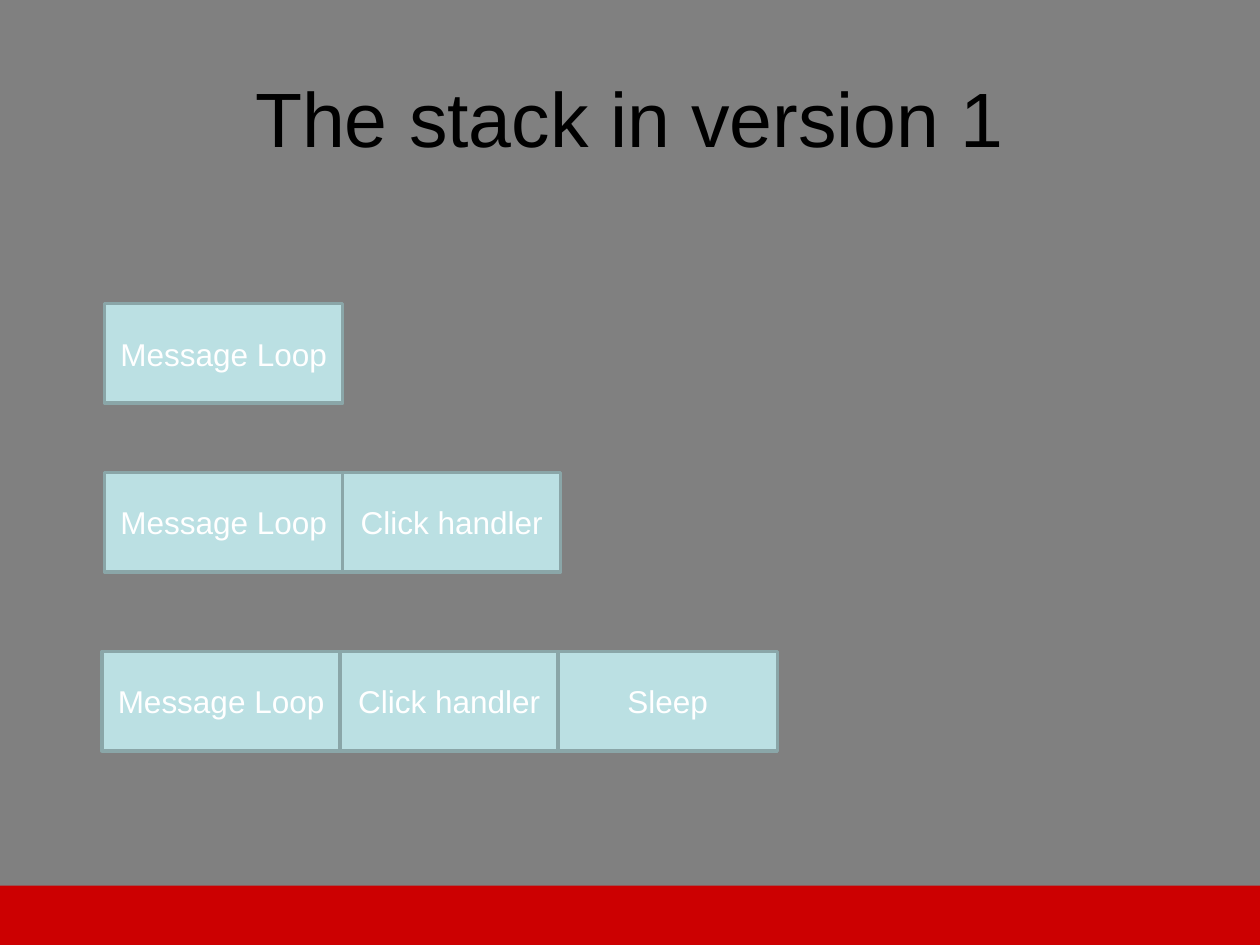
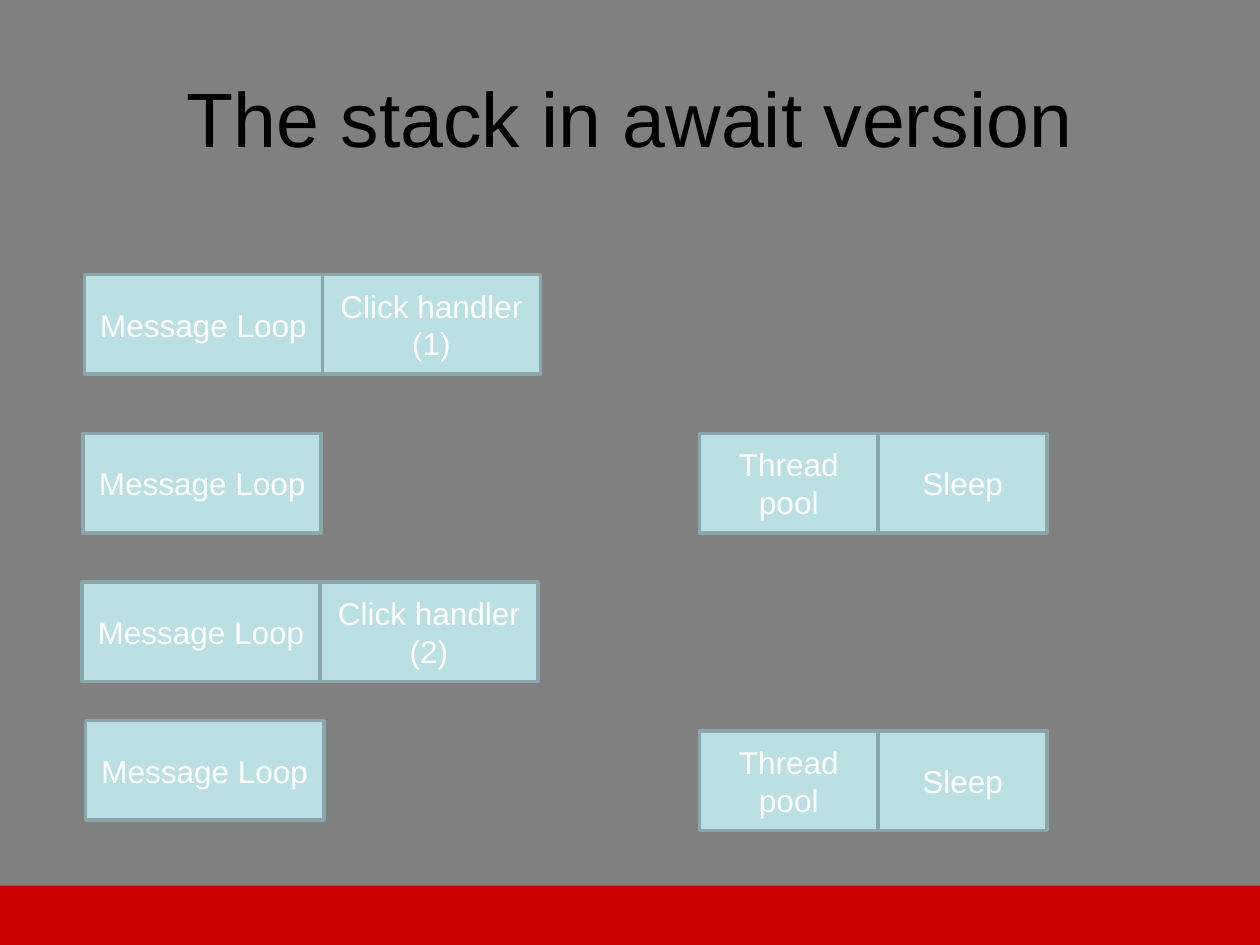
from dataclasses import dataclass
from pptx import Presentation
from pptx.dml.color import RGBColor as RGB
from pptx.enum.shapes import MSO_SHAPE as Shape
from pptx.enum.text import MSO_ANCHOR as Anchor, MSO_AUTO_SIZE as Fit, PP_ALIGN as Align
from pptx.util import Inches, Pt


@dataclass(frozen=True)
class Theme:
    back: str = "808080"
    band: str = "CC0001"
    fill: str = "BBE0E3"
    edge: str = "8AA6A8"
    dark: str = "000000"
    light: str = "FFFFFF"
    font: str = "Arial"
    head: int = 44
    body: int = 18
    line: int = 2


THEME = Theme()
WIDE, HIGH = 10, 7.5
HEAD = (0.5, 0.3, 9, 1.25)
BAND = (0, 7.03, WIDE, 0.47)
TALL = 0.79
LOOP = ("Message Loop", 1.89)
CLICK = ("Click handler", 1.73)
FIRST = ("Click handler (1)", 1.73)
NEXT = ("Click handler (2)", 1.73)
SLEEP = ("Sleep", 1.74)
POOL = ("Thread pool", 1.42)
NAP = ("Sleep", 1.34)

SLIDES = [
    ("The stack in version 1", [
        (0.83, 2.41, [LOOP]),
        (0.83, 3.75, [LOOP, CLICK]),
        (0.81, 5.17, [LOOP, CLICK, SLEEP]),
    ]),
    ("The stack in await version", [
        (0.67, 2.18, [LOOP, FIRST]),
        (0.66, 3.44, [LOOP]),
        (5.55, 3.44, [POOL, NAP]),
        (0.65, 4.62, [LOOP, NEXT]),
        (0.68, 5.72, [LOOP]),
        (5.55, 5.8, [POOL, NAP]),
    ]),
]


def write(shape, text, size, color):
    frame = shape.text_frame
    frame.word_wrap = True
    frame.auto_size = Fit.NONE
    frame.vertical_anchor = Anchor.MIDDLE
    para = frame.paragraphs[0]
    para.alignment = Align.CENTER
    run = para.add_run()
    run.text = text
    run.font.name = THEME.font
    run.font.size = Pt(size)
    run.font.color.rgb = RGB.from_string(color)


def add_rect(slide, box, fill):
    rect = slide.shapes.add_shape(Shape.RECTANGLE, *map(Inches, box))
    rect.shadow.inherit = False
    rect.fill.solid()
    rect.fill.fore_color.rgb = RGB.from_string(fill)
    rect.line.fill.background()
    return rect


def add_title(slide, box, text):
    title = slide.shapes.title
    title.left, title.top, title.width, title.height = map(Inches, box)
    write(title, text, THEME.head, THEME.dark)


def add_stack(slide, left, top, calls):
    for text, width in calls:
        cell = add_rect(slide, (left, top, width, TALL), THEME.fill)
        cell.line.color.rgb = RGB.from_string(THEME.edge)
        cell.line.width = Pt(THEME.line)
        write(cell, text, THEME.body, THEME.light)
        left += width


def add_slide(deck, text, stacks):
    slide = deck.slides.add_slide(deck.slide_layouts.get_by_name("Title Only"))
    back = slide.background.fill
    back.solid()
    back.fore_color.rgb = RGB.from_string(THEME.back)
    add_title(slide, HEAD, text)
    for left, top, calls in stacks:
        add_stack(slide, left, top, calls)
    add_rect(slide, BAND, THEME.band)


deck = Presentation()
deck.slide_width, deck.slide_height = Inches(WIDE), Inches(HIGH)
for text, stacks in SLIDES:
    add_slide(deck, text, stacks)
deck.save("out.pptx")
